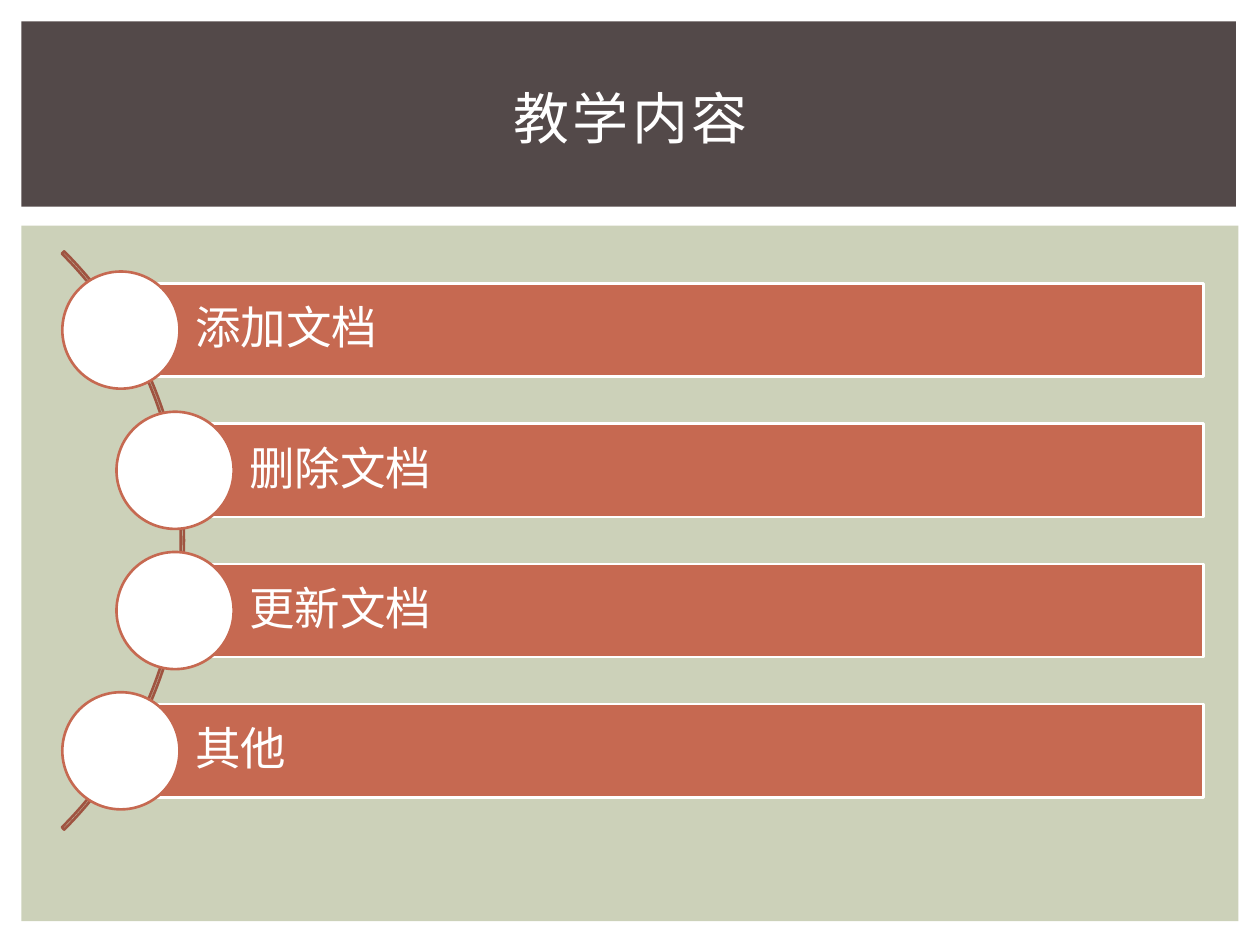
from dataclasses import dataclass

from pptx import Presentation
from pptx.dml.color import RGBColor as Rgb
from pptx.enum.shapes import MSO_SHAPE as Kind
from pptx.enum.text import MSO_ANCHOR as Anchor, PP_ALIGN as Align
from pptx.util import Inches, Pt


@dataclass(frozen=True)
class Theme:
    """Colours, font and sizes of the slide."""
    white: str = "FFFFFF"
    dark: str = "534949"
    sage: str = "CCD1B9"
    rust: str = "C66951"
    arc: str = "9F5441"
    font: str = "Lato"
    head: int = 32
    body: int = 26
    line: float = 1.5


THEME = Theme()
TOPICS = [("添加文档", 0.96), ("删除文档", 1.39), ("更新文档", 1.39), ("其他", 0.96)]


def shape(slide, kind, box, fill=None, line=None):
    """Add a flat preset shape in box (left, top, width, height)."""
    item = slide.shapes.add_shape(kind, *map(Inches, box))
    item.shadow.inherit = False
    if fill:
        item.fill.solid()
        item.fill.fore_color.rgb = Rgb.from_string(fill)
    else:
        item.fill.background()
    if line:
        item.line.color.rgb = Rgb.from_string(line)
        item.line.width = Pt(THEME.line)
    else:
        item.line.fill.background()
    return item


def write(item, text, size, align, pads, space=0):
    """Write one run of white text, centred in height, in a shape."""
    frame = item.text_frame
    frame.word_wrap = True
    frame.vertical_anchor = Anchor.MIDDLE
    (frame.margin_left, frame.margin_top,
     frame.margin_right, frame.margin_bottom) = map(Inches, pads)
    para = frame.paragraphs[0]
    para.alignment = align
    para.line_spacing = 0.9
    run = para.add_run()
    run.text = text
    run.font.size = Pt(size)
    run.font.name = THEME.font
    run.font.color.rgb = Rgb.from_string(THEME.white)
    if space:
        run.font._element.set("spc", str(space * 100))


def banner(slide, box, text):
    """Draw the dark title band with its heading."""
    left, top, wide, _ = box
    shape(slide, Kind.RECTANGLE, box, THEME.dark)
    area = (left + 0.25, top + 0.22, wide - 0.47, 1.15)
    title = slide.shapes.add_textbox(*map(Inches, area))
    write(title, text, THEME.head, Align.CENTER, (0.1, 0.05, 0.1, 0.05), 2)


def topic(slide, box, text):
    """Draw one bar with a disc centred on its left edge."""
    left, top, _, high = box
    disc = 0.93
    bar = shape(slide, Kind.RECTANGLE, box, THEME.rust, THEME.white)
    write(bar, text, THEME.body, Align.LEFT, (0.59, 0.07, 0.07, 0.07))
    spot = (left - disc / 2, top + (high - disc) / 2, disc, disc)
    shape(slide, Kind.OVAL, spot, THEME.white, THEME.rust)


def agenda(slide, box, topics):
    """Draw the panel, its arc and the evenly spaced topics."""
    left, top, wide, _ = box
    shape(slide, Kind.RECTANGLE, box, THEME.sage)
    ring, high, pitch = 6.49, 0.74, 1.113
    first = top + 0.46
    mid = first + (pitch * (len(topics) - 1) + high) / 2
    arc = shape(slide, Kind.BLOCK_ARC,
                (left - 5.2, mid - ring / 2, ring, ring), None, THEME.arc)
    for i, value in enumerate((189, 27, 0.004)):
        arc.adjustments[i] = value
    right = left + wide - 0.28
    for i, (text, start) in enumerate(topics):
        topic(slide, (start, first + i * pitch, right - start, high), text)


def main():
    """Build and save the slide."""
    deck = Presentation()
    deck.slide_width, deck.slide_height = Inches(10), Inches(7.5)
    slide = deck.slides.add_slide(deck.slide_layouts[6])
    agenda(slide, (0.17, 1.79, 9.66, 5.52), TOPICS)
    banner(slide, (0.17, 0.17, 9.64, 1.47), "教学内容")
    deck.save("out.pptx")


main()
